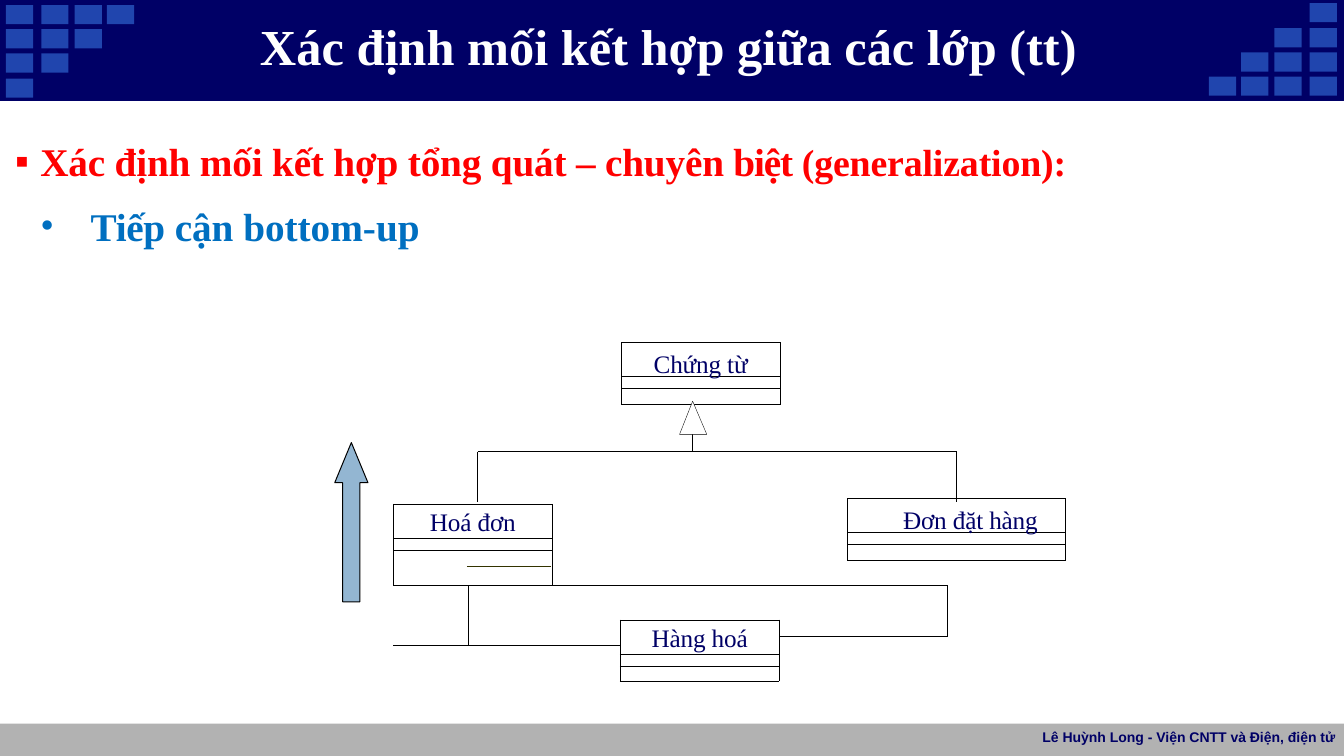
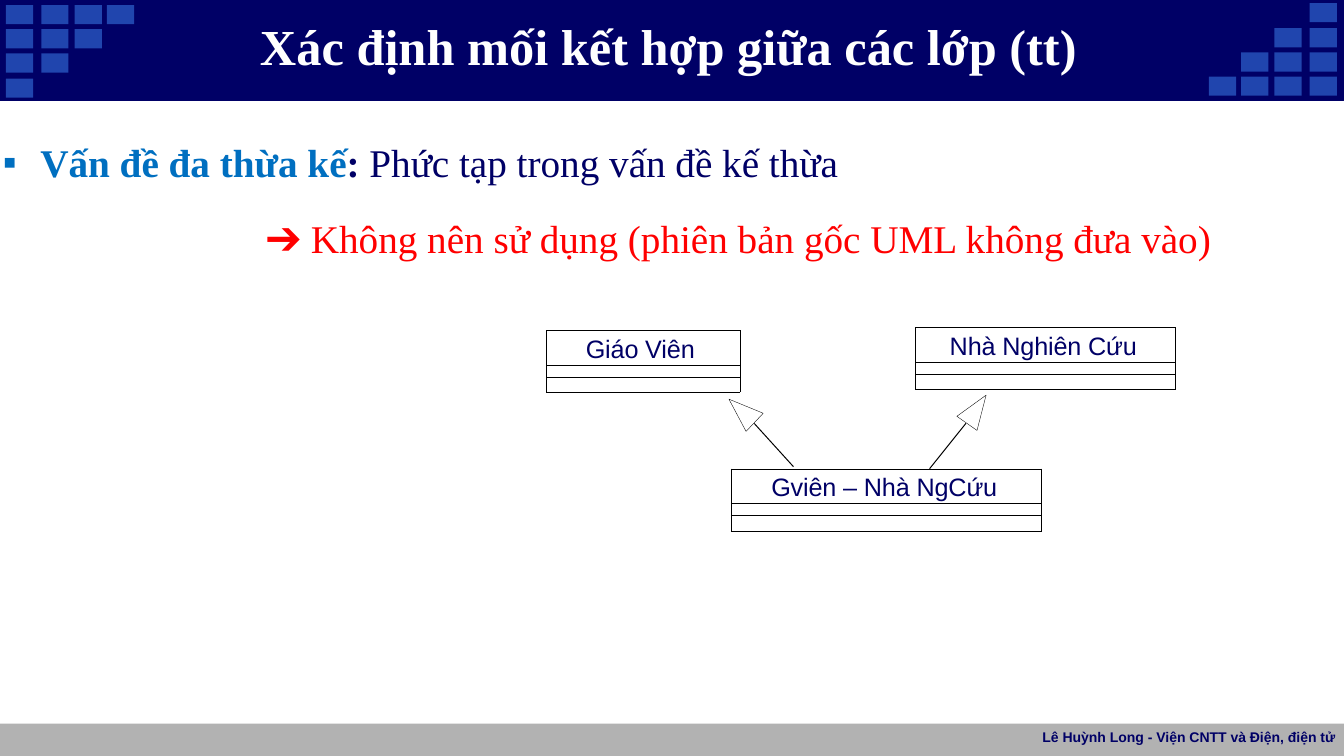
"""Build two slides on generalization relationships between classes."""
import pptx
import pptx.util
import pptx.dml.color
import pptx.enum.shapes
import pptx.enum.text
import pptx.oxml.ns
from lxml import etree

Inches = pptx.util.Inches
Pt = pptx.util.Pt
ALIGN = pptx.enum.text.PP_ALIGN
ANCHOR = pptx.enum.text.MSO_ANCHOR
SHAPE = pptx.enum.shapes.MSO_SHAPE

COLORS = {
    "navy": "000066", "square": "2045AE", "footer": "B2B2B2", "white": "FFFFFF",
    "black": "000000", "red": "FF0000", "blue": "006FC0", "arrow": "93B6D2",
    "olive": "333300",
}
SERIF, SANS = "Times New Roman", "Arial"
THIN, MEDIUM, THICK = 0.25, 0.72, 0.75
SLIDE_WIDTH, SLIDE_HEIGHT = 13.33, 7.5

TITLE = "Xác định mối kết hợp giữa các lớp (tt)"
FOOTER = "Lê Huỳnh Long - Viện CNTT và Điện, điện tử"

SQUARE_COLUMNS = (0.06, 0.41, 0.74, 1.06)
SQUARE_ROWS = (0.05, 0.29, 0.53, 0.78)
SQUARE_SIZE = (0.27, 0.19)
MIRROR = (13.05, 0.81)

BORDERS = "LRTB"
CLASS_HEIGHT = 0.62
CLASS_PARTS = ((0, 0.62), (0.34, 0.28), (0.46, 0.16))
NAME_HEIGHT = 0.34


def class_table(name, left, top, width, offset, rows=(0.34, 0.12, 0.15)):
    cells = [(row, 0, 1, 1, "lrtb", "" if row else name) for row in range(3)]
    return {"at": (left, top), "columns": (width,), "rows": rows, "cells": cells,
            "offset": offset, "format": {"font": SANS, "spacing": -0.1}}


SLIDES = [
    {
        "body": {
            "box": (0.08, 1.16, 11.67, 1.32),
            "format": {"size": 28, "bold": True, "line": 1.2, "spacing": -0.1},
            "paragraphs": [
                {"runs": [("Xác định mối kết hợp tổng quát – chuyên ", {}),
                          ("biệt ", {"spacing": -0.8}),
                          ("(generalization):", {"size": 27})],
                 "color": "red", "bullet": "▪", "left": 0.32, "indent": -0.25},
                {"runs": [("Tiếp ", {"spacing": -0.2}),
                          ("cận bottom-up", {"spacing": 0})],
                 "color": "blue", "bullet": "•", "left": 0.82, "indent": -0.5,
                 "before": 6},
            ],
        },
        "tables": [{
            "at": (3.9, 5),
            "columns": (0.75, 0.83, 0.67, 1.58, 1.67),
            "rows": (0.34, 0.12, 0.35, 0.34, 0.17, 0.08, 0.09, 0.12, 0.15),
            "cells": [
                (0, 0, 1, 2, "lrtb", "Hoá đơn"), (0, 2, 3, 3, "l", ""),
                (1, 0, 1, 2, "lrtb", ""), (2, 0, 1, 2, "lrtb", ""),
                (3, 0, 3, 1, "tR", ""), (3, 1, 1, 4, "LtR", ""),
                (4, 1, 2, 2, "LrB", ""), (4, 3, 3, 1, "lrtb", "Hàng hoá"),
                (4, 4, 1, 1, "lRB", ""), (5, 4, 4, 1, "lT", ""),
                (6, 0, 3, 3, "Tr", ""), (7, 3, 1, 1, "lrtb", ""),
                (8, 3, 1, 1, "lrtb", ""),
            ],
            "offset": 0,
            "format": {"align": ALIGN.CENTER, "spacing": -0.1},
        }],
        "classes": [("Chứng từ", 6.16, 3.39, 1.58, 0),
                    ("Đơn đặt hàng", 8.4, 4.94, 2.17, 0.28)],
        "block_arrow": (3.32, 4.39, 0.33, 1.58),
        "triangles": [((6.87, 3.98), (7.01, 4.31), (6.74, 4.31))],
        "lines": [
            (6.87, 4.31, 6.87, 4.48), (4.74, 4.48, 9.49, 4.48),
            (4.74, 4.48, 4.74, 4.98), (9.49, 4.48, 9.49, 4.98),
            (4.63, 5.62, 5.47, 5.62, "olive"),
        ],
    },
    {
        "body": {
            "box": (0.03, 1.03, 13.33, 1.58),
            "format": {"size": 28, "line": 1.5},
            "paragraphs": [
                {"runs": [("Vấn đề đa thừa kế", {"color": "blue", "bold": True}),
                          (": ", {"bold": True}),
                          ("Phức tạp trong vấn đề kế thừa", {})],
                 "bullet": "▪", "left": 0.37, "indent": -0.37},
                {"runs": [("➔ Không nên sử dụng (phiên bản gốc UML không đưa vào)", {})],
                 "color": "red", "align": ALIGN.CENTER, "left": 1.26, "before": 4},
            ],
        },
        "tables": [
            class_table("Giáo Viên", 5.42, 3.28, 1.92, 0.39),
            class_table("Nhà Nghiên Cứu", 9.08, 3.25, 2.58, 0.34),
            class_table("Gviên – Nhà NgCứu", 7.25, 4.65, 3.08, 0.4, (0.34, 0.12, 0.16)),
        ],
        "classes": [],
        "triangles": [((9.78, 3.92), (9.69, 4.27), (9.49, 4.13)),
                      ((7.23, 3.96), (7.57, 4.1), (7.4, 4.28))],
        "lines": [(9.58, 4.2, 9.22, 4.65), (7.48, 4.2, 7.87, 4.63)],
    },
]


def rgb(name):
    return pptx.dml.color.RGBColor.from_string(COLORS[name])


def add_element(parent, tag, **attributes):
    return etree.SubElement(parent, pptx.oxml.ns.qn(tag), attributes)


def set_margins(holder, margins):
    (holder.margin_left, holder.margin_top,
     holder.margin_right, holder.margin_bottom) = map(Inches, margins)


def write(frame, paragraphs, **common):
    """Fill a text frame; paragraph and run formats override the common one."""
    for number, content in enumerate(paragraphs):
        para = frame.add_paragraph() if number else frame.paragraphs[0]
        style = {"font": SERIF, "color": "navy", "bold": False, **common, **content}
        para.alignment = style.get("align", ALIGN.LEFT)
        para.line_spacing = style.get("line", 1.0)
        if "before" in style:
            para.space_before = Pt(style["before"])
        properties = para._p.get_or_add_pPr()
        properties.set("marL", str(Inches(style.get("left", 0))))
        properties.set("indent", str(Inches(style.get("indent", 0))))
        if "bullet" in style:
            add_element(properties, "a:buFont", typeface=SERIF)
            add_element(properties, "a:buChar", char=style["bullet"])
        for text, override in content["runs"]:
            look = {**style, **override}
            span = para.add_run()
            span.text = text
            span.font.name = look["font"]
            span.font.size = Pt(look["size"])
            span.font.bold = look["bold"]
            span.font.color.rgb = rgb(look["color"])
            if look.get("spacing"):
                span._r.get_or_add_rPr().set("spc", str(round(look["spacing"] * 100)))


def fill_frame(frame, paragraphs, margins, anchor=ANCHOR.TOP, **style):
    frame.word_wrap = True
    frame.vertical_anchor = anchor
    set_margins(frame, margins)
    write(frame, paragraphs, **style)


def add_text(page, box, paragraphs, **style):
    fill_frame(page.shapes.add_textbox(*map(Inches, box)).text_frame,
               paragraphs, **style)


def paint(shape, fill=None, line=None, width=THIN):
    shape.shadow.inherit = False
    if fill:
        shape.fill.solid()
        shape.fill.fore_color.rgb = rgb(fill)
    else:
        shape.fill.background()
    if line:
        shape.line.color.rgb = rgb(line)
        shape.line.width = Pt(width)
    else:
        shape.line.fill.background()


def add_shape(page, kind, box, **look):
    shape = page.shapes.add_shape(kind, *map(Inches, box))
    paint(shape, **look)
    return shape


def add_line(page, x1, y1, x2, y2, color="black"):
    line = page.shapes.add_connector(
        pptx.enum.shapes.MSO_CONNECTOR.STRAIGHT, *map(Inches, (x1, y1, x2, y2)))
    line.line.color.rgb = rgb(color)
    line.line.width = Pt(MEDIUM)
    add_element(line._element.spPr, "a:effectLst")


def add_triangle(page, points):
    start, *others = [tuple(map(Inches, point)) for point in points]
    builder = page.shapes.build_freeform(*start)
    builder.add_line_segments(others, close=True)
    paint(builder.convert_to_shape(), fill="white", line="black")


def add_class(page, name, left, top, width, offset):
    for drop, height in CLASS_PARTS:
        add_shape(page, SHAPE.RECTANGLE, (left, top + drop, width, height), line="black")
    label = add_shape(page, SHAPE.RECTANGLE, (left, top, width, NAME_HEIGHT), line="black")
    fill_frame(label.text_frame, [{"runs": [(name, {})]}], (offset, 0.07, 0, 0),
               size=18, line=Pt(21), align=ALIGN.CENTER, spacing=-0.1)


def draw_borders(cell, sides):
    """Draw the named sides: a small letter is thin, a capital is thick."""
    properties = cell._tc.get_or_add_tcPr()
    for side in BORDERS:
        shown = side in sides.upper()
        width = THICK if side in sides else THIN
        border = add_element(properties, f"a:ln{side}", w=str(Pt(width)))
        fill = add_element(border, "a:solidFill" if shown else "a:noFill")
        if shown:
            add_element(fill, "a:srgbClr", val=COLORS["black"])


def add_table(page, content):
    columns, rows = content["columns"], content["rows"]
    table = page.shapes.add_table(
        len(rows), len(columns),
        *map(Inches, content["at"] + (sum(columns), sum(rows)))).table
    table.first_row = table.horz_banding = False
    for column, width in zip(table.columns, columns):
        column.width = Inches(width)
    for row, height in zip(table.rows, rows):
        row.height = Inches(height)
    for y, x, tall, wide, sides, name in content["cells"]:
        cell = table.cell(y, x)
        if tall * wide > 1:
            cell.merge(table.cell(y + tall - 1, x + wide - 1))
        draw_borders(cell, sides)
        if name:
            write(cell.text_frame, [{"runs": [(name, {})]}],
                  size=18, line=Pt(20), **content["format"])
    for cell in table.iter_cells():
        named = bool(cell.text)
        set_margins(cell, (content["offset"], 0.05 if named else 0, 0, 0))
        cell.fill.background()
        if not named:
            add_element(cell.text_frame.paragraphs[0]._p, "a:endParaRPr", sz="400")


def add_frame(page):
    """Draw the bands, corner squares, title and footer of a slide."""
    add_shape(page, SHAPE.RECTANGLE, (0, 7.18, SLIDE_WIDTH, 0.33), fill="footer")
    add_shape(page, SHAPE.RECTANGLE, (0, 0, SLIDE_WIDTH, 1),
              fill="navy", line="navy", width=THICK)
    for row, y in enumerate(SQUARE_ROWS):
        for x in SQUARE_COLUMNS[:len(SQUARE_COLUMNS) - row]:
            for corner in ((x, y), (MIRROR[0] - x, MIRROR[1] - y)):
                add_shape(page, SHAPE.RECTANGLE, corner + SQUARE_SIZE, fill="square")
    add_text(page, (2.42, 0.13, 8.42, 0.62), [{"runs": [(TITLE, {})]},],
             size=36, bold=True, color="white", align=ALIGN.CENTER,
             margins=(0, 0.01, 0, 0), anchor=ANCHOR.MIDDLE)
    add_text(page, (10.17, 7.18, 3.17, 0.3), [{"runs": [(FOOTER, {})]}],
             size=10, bold=True, font=SANS, align=ALIGN.RIGHT,
             margins=(0.1, 0.05, 0.1, 0.05))


def add_slide(deck, content):
    page = deck.slides.add_slide(deck.slide_layouts[6])
    add_frame(page)
    body = content["body"]
    add_text(page, body["box"], body["paragraphs"],
             margins=(0, 0.11, 0, 0), **body["format"])
    for table in content["tables"]:
        add_table(page, table)
    for class_box in content["classes"]:
        add_class(page, *class_box)
    for line in content["lines"]:
        add_line(page, *line)
    for points in content["triangles"]:
        add_triangle(page, points)
    if "block_arrow" in content:
        arrow = add_shape(page, SHAPE.UP_ARROW, content["block_arrow"],
                          fill="arrow", line="black", width=MEDIUM)
        arrow.adjustments[0] = 0.52
        arrow.adjustments[1] = 1.21


def main():
    deck = pptx.Presentation()
    deck.slide_width = Inches(SLIDE_WIDTH)
    deck.slide_height = Inches(SLIDE_HEIGHT)
    for content in SLIDES:
        add_slide(deck, content)
    deck.save("out.pptx")


if __name__ == "__main__":
    main()
